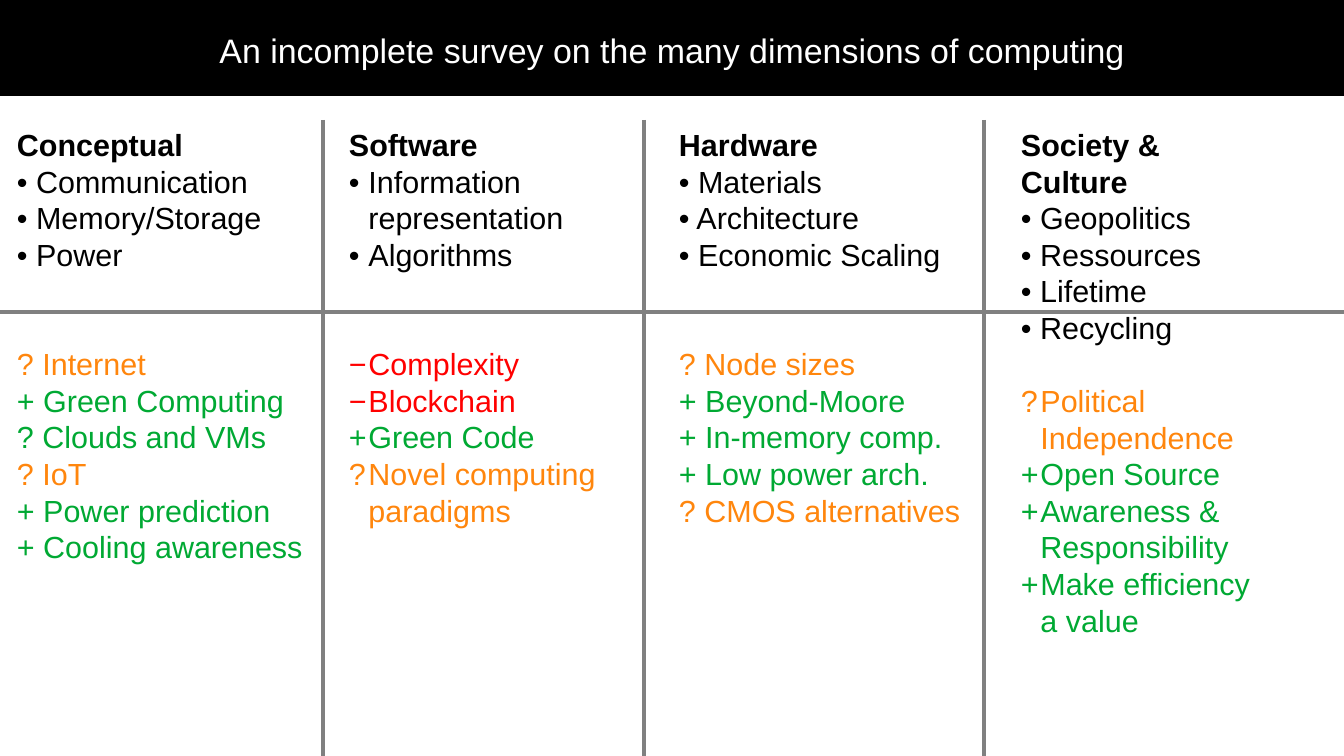
from lxml.etree import SubElement
from pptx import Presentation
from pptx.dml.color import RGBColor
from pptx.enum.shapes import MSO_CONNECTOR, MSO_SHAPE
from pptx.enum.text import PP_ALIGN
from pptx.oxml.ns import qn
from pptx.util import Inches, Pt

PX = 914400 / 122
WIDTH, HEIGHT = 1344, 756
TOP = 120
HANG = Inches(0.16)

BLACK = RGBColor(0x00, 0x00, 0x00)
WHITE = RGBColor(0xFF, 0xFF, 0xFF)
GRAY = RGBColor(0x80, 0x80, 0x80)
ORANGE = RGBColor(0xFF, 0x86, 0x0D)
GREEN = RGBColor(0x00, 0xA9, 0x33)
RED = RGBColor(0xFF, 0x00, 0x00)


def box(*lengths):
    return [round(n * PX) for n in lengths]


def style(p, size, color, bold=False):
    for r in p.runs:
        r.font.name = "Arial"
        r.font.size = Pt(size)
        r.font.bold = bold
        r.font.color.rgb = color


prs = Presentation()
prs.slide_width, prs.slide_height = box(WIDTH, HEIGHT)
s = prs.slides.add_slide(prs.slide_layouts[6])

# Title band
band = s.shapes.add_shape(MSO_SHAPE.RECTANGLE, *box(0, 0, WIDTH, 96))
band.shadow.inherit = False
band.fill.solid()
band.fill.fore_color.rgb = BLACK
band.line.fill.background()

title = s.shapes.add_textbox(*box(204, 24, 937, 50))
title.text_frame.word_wrap = True
p = title.text_frame.paragraphs[0]
p.text = "An incomplete survey on the many dimensions of computing"
p.alignment = PP_ALIGN.CENTER
style(p, 20, WHITE)

# Columns: left, width, height, gap in points, heading, topics, ratings
columns = [
    (5, 310, 422, 43, "Conceptual",
     ["• Communication", "• Memory/Storage", "• Power"],
     [("? Internet", ORANGE), ("+ Green Computing", GREEN),
      ("? Clouds and VMs", GREEN), ("? IoT", ORANGE),
      ("+ Power prediction", GREEN), ("+ Cooling awareness", GREEN)]),
    (337, 312, 456, 43, "Software",
     ["•\tInformation\vrepresentation", "•\tAlgorithms"],
     [("−\tComplexity", RED), ("−\tBlockchain", RED),
      ("+\tGreen Code", GREEN), ("?\tNovel computing\vparadigms", ORANGE)]),
    (667, 312, 490, 43, "Hardware",
     ["• Materials", "• Architecture", "• Economic Scaling"],
     [("? Node sizes", ORANGE), ("+ Beyond-Moore", GREEN),
      ("+ In-memory comp.", GREEN), ("+ Low power arch.", GREEN),
      ("? CMOS alternatives", ORANGE)]),
    (1009, 278, 456, 21.5, "Society & Culture",
     ["• Geopolitics", "• Ressources", "• Lifetime", "• Recycling"],
     [("?\tPolitical\vIndependence", ORANGE), ("+\tOpen Source", GREEN),
      ("+\tAwareness &\vResponsibility", GREEN),
      ("+\tMake efficiency\va value", GREEN)]),
]
for left, width, height, gap, heading, topics, ratings in columns:
    tf = s.shapes.add_textbox(*box(left, TOP, width, height)).text_frame
    tf.word_wrap = True
    tf.text = heading
    style(tf.paragraphs[0], 18, BLACK, bold=True)
    for i, (text, color) in enumerate([(t, BLACK) for t in topics] + ratings):
        p = tf.add_paragraph()
        p.text = text
        if "\t" in text:
            pPr = p._p.get_or_add_pPr()
            pPr.set("marL", str(HANG))
            pPr.set("indent", str(-HANG))
        if i == len(topics):
            p.space_before = Pt(gap)
        style(p, 18, color)

# Dividers
dividers = [(x, TOP, x, HEIGHT) for x in (323, 644, 984)]
dividers.append((0, 312, WIDTH, 312))
for ends in dividers:
    line = s.shapes.add_connector(MSO_CONNECTOR.STRAIGHT, *box(*ends))
    line.line.color.rgb = GRAY
    line.line.width = Pt(0)
    SubElement(line._element.spPr, qn("a:effectLst"))

prs.save("out.pptx")
